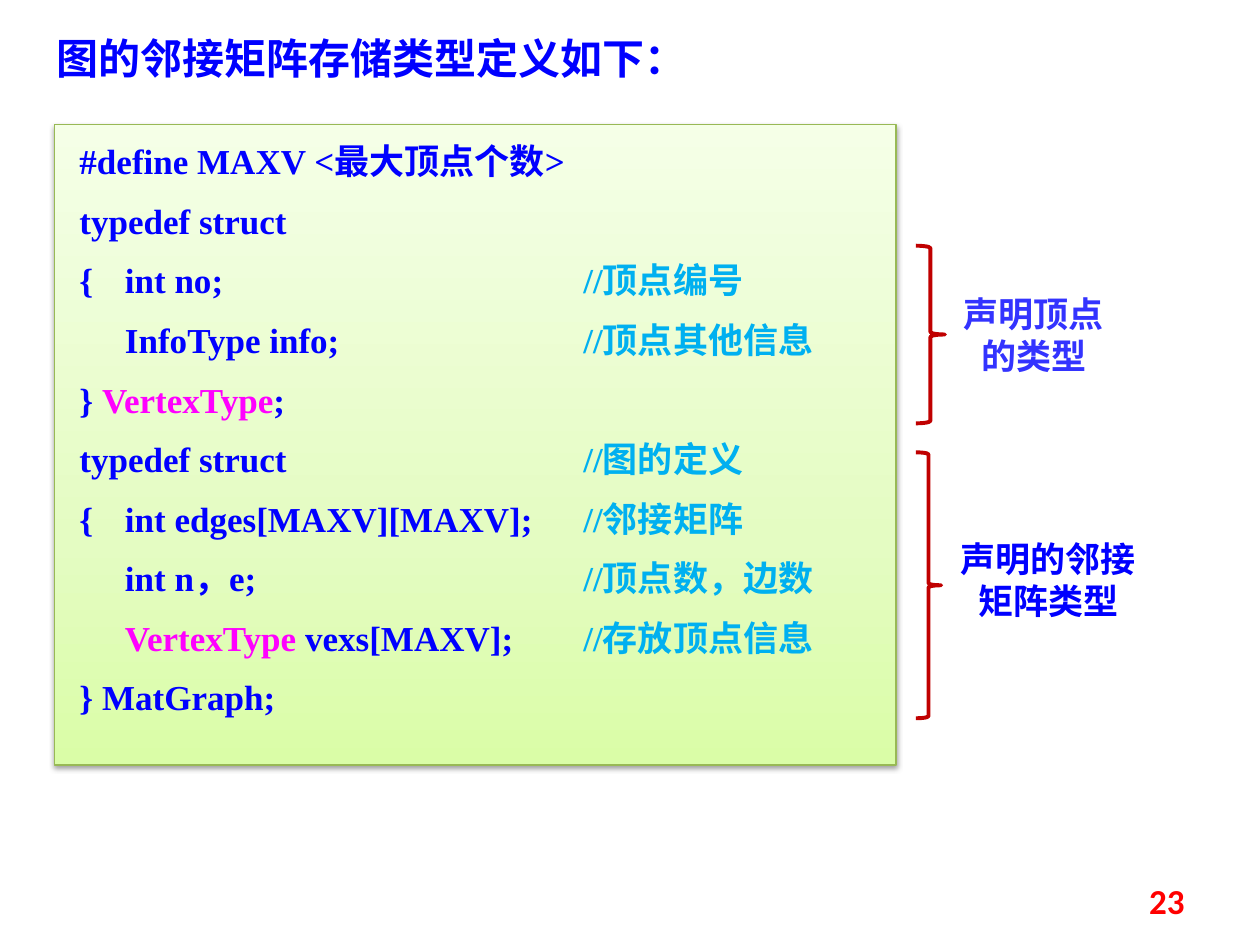
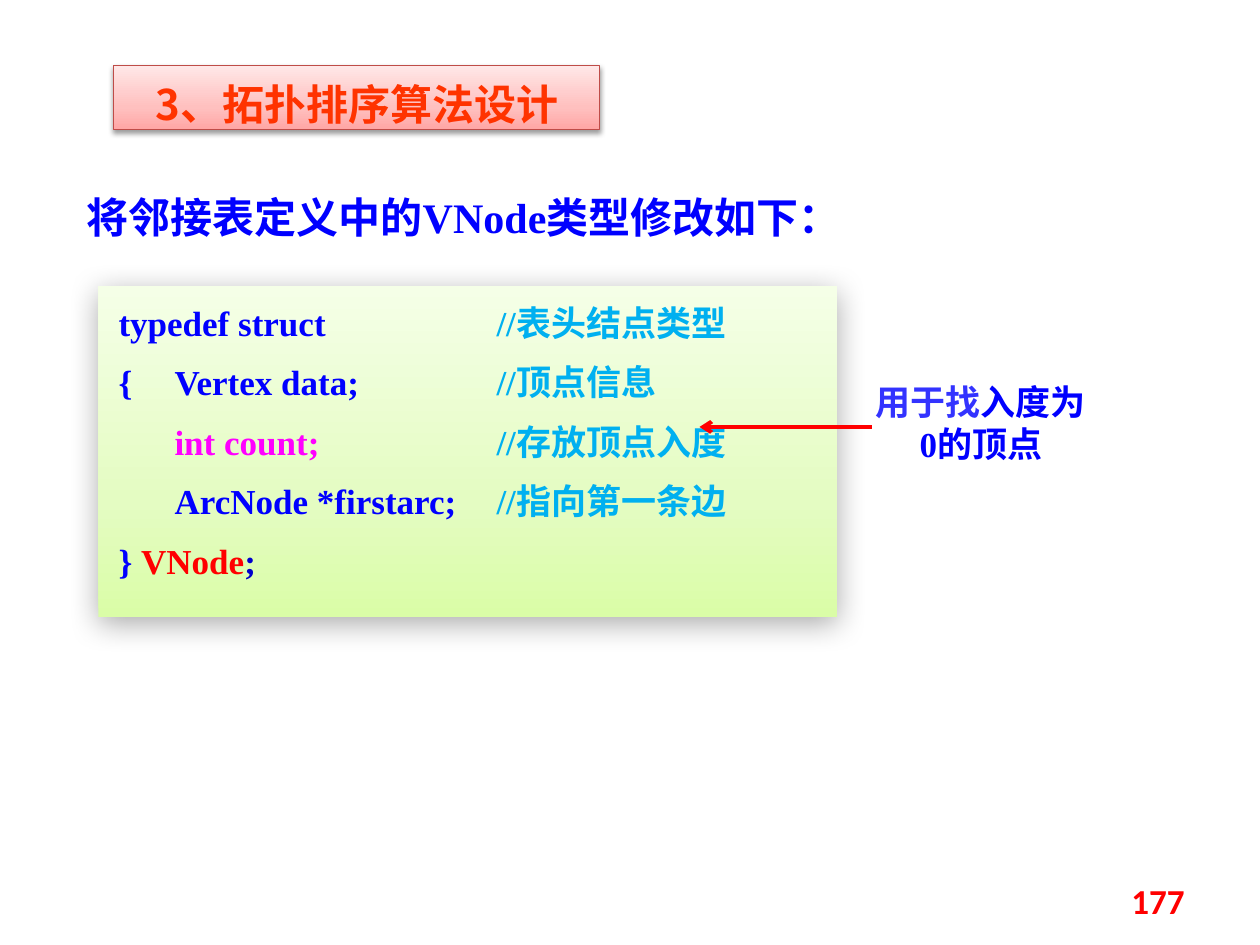
from copy import deepcopy

from lxml import etree
from pptx import Presentation
from pptx.dml.color import RGBColor
from pptx.enum.shapes import MSO_CONNECTOR, MSO_SHAPE
from pptx.enum.text import MSO_ANCHOR, PP_ALIGN
from pptx.oxml.ns import qn
from pptx.util import Pt

RECTANGLE, RIGHT_BRACE = MSO_SHAPE.RECTANGLE, MSO_SHAPE.RIGHT_BRACE
STRAIGHT = MSO_CONNECTOR.STRAIGHT
TOP, MIDDLE = MSO_ANCHOR.TOP, MSO_ANCHOR.MIDDLE
LEFT, CENTER, RIGHT = PP_ALIGN.LEFT, PP_ALIGN.CENTER, PP_ALIGN.RIGHT

BLUE = RGBColor(0x00, 0x00, 0xFF)
SOFT_BLUE = RGBColor(0x33, 0x33, 0xFF)
DARK_BLUE = RGBColor(0x00, 0x00, 0xCC)
SKY = RGBColor(0x00, 0xB0, 0xF0)
MAGENTA = RGBColor(0xFF, 0x00, 0xFF)
RED = RGBColor(0xFF, 0x00, 0x00)
ORANGE = RGBColor(0xFF, 0x33, 0x00)
BRACE_RED = RGBColor(0xC0, 0x00, 0x00)
GREEN_EDGE = RGBColor(0x98, 0xB9, 0x55)
PINK_EDGE = RGBColor(0xBF, 0x4C, 0x48)
GREENS = [RGBColor(0xDA, 0xFD, 0xA7), RGBColor(0xE4, 0xFC, 0xC2), RGBColor(0xF5, 0xFF, 0xE7)]
PINKS = [RGBColor(0xFF, 0xA6, 0xA5), RGBColor(0xFF, 0xC0, 0xBF), RGBColor(0xFF, 0xE7, 0xE7)]
STOPS = [0, 0.35, 1]

SERIF, CJK, SANS = "Times New Roman", "Noto Sans CJK SC", "Calibri"
CODE_SIZE, TITLE_SIZE = 20, 24
LINE_FACTOR = 1.2
NEAR_SHADOW = (38, 3.1, 1.6, 90)
WIDE_SHADOW = (33, 17.8, 4, 87)

GRAPH_CODE = [
    [("#define MAXV <最大顶点个数>", BLUE)],
    [("typedef struct", BLUE)],
    [("{\tint no;\t", BLUE), ("//顶点编号", SKY)],
    [("\tInfoType info;\t", BLUE), ("//顶点其他信息", SKY)],
    [("} ", BLUE), ("VertexType", MAGENTA), (";", BLUE)],
    [("typedef struct\t", BLUE), ("//图的定义", SKY)],
    [("{\tint edges[MAXV][MAXV];\t", BLUE), ("//邻接矩阵", SKY)],
    [("\tint n，e;\t", BLUE), ("//顶点数，边数", SKY)],
    [("\tVertexType ", MAGENTA), ("vexs[MAXV];\t", BLUE), ("//存放顶点信息", SKY)],
    [("} MatGraph;", BLUE)],
]
NODE_CODE = [
    [("typedef struct\t", BLUE), ("//表头结点类型", SKY)],
    [("{\tVertex data;\t", BLUE), ("//顶点信息", SKY)],
    [("\tint count;\t", MAGENTA), ("//存放顶点入度", SKY)],
    [("\tArcNode *firstarc;\t", BLUE), ("//指向第一条边", SKY)],
    [("} ", BLUE), ("VNode", RED), (";", DARK_BLUE)],
]


def points(box):
    """Convert a box of numbers to lengths."""
    return [Pt(value) for value in box]


def write_lines(text_frame, lines, size, font_name, align=LEFT, anchor=TOP):
    """Write each line of coloured pieces as one paragraph."""
    text_frame.word_wrap = True
    text_frame.vertical_anchor = anchor
    for index, pieces in enumerate(lines):
        paragraph = text_frame.add_paragraph() if index else text_frame.paragraphs[0]
        paragraph.alignment = align
        paragraph.line_spacing = Pt(size * LINE_FACTOR)
        paragraph.space_before = Pt(size / 2 if index else 0)
        for text, color in pieces:
            run = paragraph.add_run()
            run.text = text
            run.font.size = Pt(size)
            run.font.name = font_name
            run.font.bold = True
            run.font.color.rgb = color
            etree.SubElement(run.font._element, qn("a:ea"), typeface=CJK)


def add_text(slide, box, pieces, size, font_name, align=LEFT, anchor=TOP):
    """Add a one-paragraph text box."""
    text_box = slide.shapes.add_textbox(*points(box))
    write_lines(text_box.text_frame, [pieces], size, font_name, align, anchor)


def add_panel(slide, box, colors, shadow, edge=None):
    """Add a rectangle with a vertical gradient and a soft shadow."""
    panel = slide.shapes.add_shape(RECTANGLE, *points(box))
    panel.fill.gradient()
    panel.fill.gradient_angle = 90
    stop_list = panel._element.spPr.find(".//" + qn("a:gsLst"))
    stop_list.insert(1, deepcopy(stop_list[0]))
    for stop, position, color in zip(panel.fill.gradient_stops, STOPS, colors):
        stop.position = position
        stop.color.rgb = color
    if edge is None:
        panel.line.fill.background()
    else:
        panel.line.color.rgb = edge
        panel.line.width = Pt(0.75)
    panel.shadow.inherit = False
    opacity, blur, distance, direction = shadow
    outer = etree.SubElement(
        panel._element.spPr.find(qn("a:effectLst")), qn("a:outerShdw"),
        blurRad=str(Pt(blur)), dist=str(Pt(distance)),
        dir=str(direction * 60000), rotWithShape="0")
    shade = etree.SubElement(outer, qn("a:srgbClr"), val="000000")
    etree.SubElement(shade, qn("a:alpha"), val=str(opacity * 1000))
    return panel


def add_code(slide, box, lines, tab_stops, margin, shadow, edge=None):
    """Add a green code panel whose columns sit on tab stops."""
    text_frame = add_panel(slide, box, GREENS, shadow, edge).text_frame
    text_frame.margin_left = text_frame.margin_right = Pt(margin)
    text_frame.margin_top = text_frame.margin_bottom = Pt(8.64)
    write_lines(text_frame, lines, CODE_SIZE, SERIF)
    for paragraph in text_frame.paragraphs:
        properties = paragraph._p.get_or_add_pPr()
        tab_list = etree.SubElement(properties, qn("a:tabLst"))
        for position in tab_stops:
            etree.SubElement(tab_list, qn("a:tab"), pos=str(Pt(position)), algn="l")


def add_brace_note(slide, brace_box, note_box, text, color, font_name):
    """Add a right brace and the note it points to."""
    add_text(slide, note_box, [(text, color)], CODE_SIZE, font_name, CENTER)
    brace = slide.shapes.add_shape(RIGHT_BRACE, *points(brace_box))
    brace.fill.background()
    brace.line.color.rgb = BRACE_RED
    brace.line.width = Pt(2.25)
    brace.shadow.inherit = False


def add_arrow_note(slide, box, pieces, reach):
    """Add a note with an arrow running left from it."""
    left, top, width, height = box
    start, middle = left + 8, top + 30.2
    arrow = slide.shapes.add_connector(
        STRAIGHT, *points((start, middle, start - reach, middle)))
    arrow.line.color.rgb = RED
    arrow.line.width = Pt(2.25)
    etree.SubElement(arrow.line._get_or_add_ln(), qn("a:tailEnd"), type="arrow")
    etree.SubElement(arrow._element.spPr, qn("a:effectLst"))
    add_text(slide, box, pieces, CODE_SIZE, SERIF, CENTER)


def add_banner(slide, box, text):
    """Add the pink section banner."""
    banner = add_panel(slide, box, PINKS, NEAR_SHADOW, PINK_EDGE)
    write_lines(banner.text_frame, [[(text, ORANGE)]], TITLE_SIZE, CJK, CENTER)
    banner.text_frame.paragraphs[0].line_spacing = Pt(33)


def add_slide(presentation, title, title_box, title_font, number):
    """Add a blank slide with its title and page number."""
    slide = presentation.slides.add_slide(presentation.slide_layouts[6])
    add_text(slide, title_box, [(title, BLUE)], TITLE_SIZE, title_font)
    add_text(slide, (516, 500.4, 168, 28.8), [(number, RED)], 20, SANS, RIGHT, MIDDLE)
    return slide


def build_matrix_slide(presentation):
    """Build the adjacency matrix definition slide."""
    slide = add_slide(presentation, "图的邻接矩阵存储类型定义如下：",
                      (25.2, 15.1, 493, 36), CJK, "23")
    add_code(slide, (31, 71.3, 481, 365.8), GRAPH_CODE, (26, 288), 14.4,
             NEAR_SHADOW, GREEN_EDGE)
    add_brace_note(slide, (523.4, 140.4, 16.6, 101.5), (540, 163.4, 101.5, 55.4),
                   "声明顶点的类型", SOFT_BLUE, CJK)
    add_brace_note(slide, (523.4, 258.5, 14.4, 152), (534.2, 303.8, 129.6, 55.4),
                   "声明的邻接矩阵类型", BLUE, SERIF)


def build_sorting_slide(presentation):
    """Build the topological sorting design slide."""
    slide = add_slide(presentation, "将邻接表定义中的VNode类型修改如下：",
                      (42.5, 105.8, 475, 36), SERIF, "177")
    add_code(slide, (56.2, 163.4, 422, 189.4), NODE_CODE, (32, 216), 11.5, WIDE_SHADOW)
    add_banner(slide, (64.8, 37.4, 278, 36.7), "3、拓扑排序算法设计")
    add_arrow_note(slide, (490.3, 213.8, 140.4, 55.4),
                   [("用于找", SOFT_BLUE), ("入度为0的顶点", BLUE)], 98.6)


def main():
    """Build and save the presentation."""
    presentation = Presentation()
    presentation.slide_width, presentation.slide_height = Pt(720), Pt(540)
    build_matrix_slide(presentation)
    build_sorting_slide(presentation)
    presentation.save("out.pptx")


if __name__ == "__main__":
    main()
